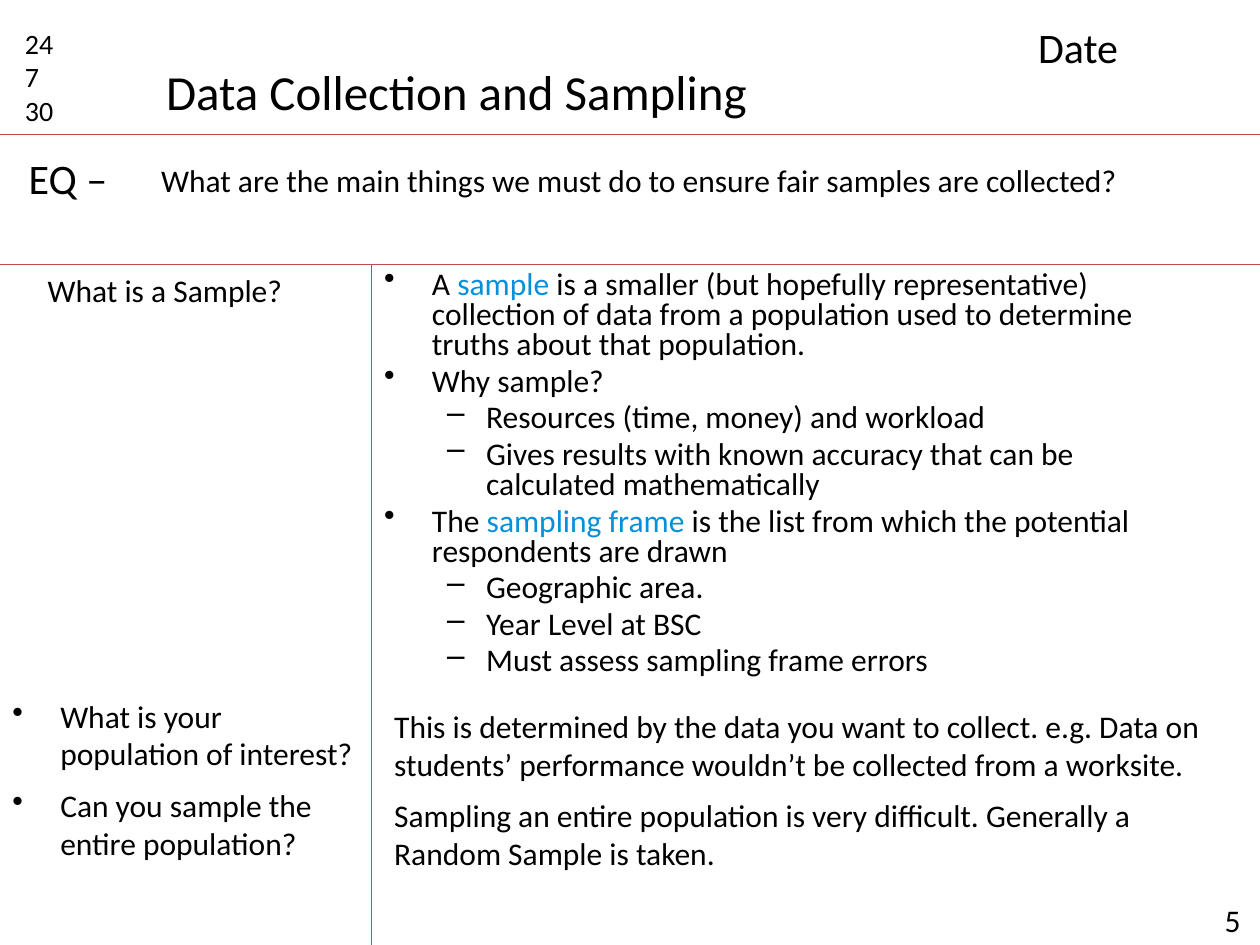
from dataclasses import dataclass

from lxml import etree
from pptx import Presentation
from pptx import util as u
from pptx.dml import color
from pptx.enum import shapes, text
from pptx.oxml import ns


@dataclass(frozen=True)
class Theme:
    """Holds the colours, font and type sizes."""
    face: str = "Calibri"
    ink: str = "000000"
    key: str = "0091DA"
    rule: str = "BF4C48"
    title: int = 28
    head: int = 24
    body: int = 18
    note: int = 16


class Page:
    """Draws styled elements on one slide."""

    marks = {0: ("•", 0.38, -0.38), 1: ("–", 0.81, -0.31)}

    def __init__(self, slide, theme):
        """Keeps the slide and its theme."""
        self.slide, self.theme = slide, theme

    def line(self, *ends):
        """Draws a thin rule between two points."""
        rule = self.slide.shapes.add_connector(
            shapes.MSO_CONNECTOR.STRAIGHT, *map(u.Inches, ends))
        rule.line.color.rgb = color.RGBColor.from_string(self.theme.rule)
        rule.line.width = u.Pt(0.75)
        etree.SubElement(rule._element.spPr, ns.qn("a:effectLst"))

    def frame(self, spot, wrap=True, grow=True):
        """Adds an empty text box and returns its frame."""
        frame = self.slide.shapes.add_textbox(*map(u.Inches, spot)).text_frame
        size = text.MSO_AUTO_SIZE
        form = {"word_wrap": wrap,
                "auto_size": size.SHAPE_TO_FIT_TEXT if grow else size.NONE}
        for name, value in form.items():
            setattr(frame, name, value)
        return frame

    def fill(self, para, parts, size):
        """Writes runs, with every second one in the key colour."""
        for i, part in enumerate(parts):
            run = para.add_run()
            run.text = part
            form = {"name": self.theme.face, "size": u.Pt(size)}
            for name, value in form.items():
                setattr(run.font, name, value)
            tint = self.theme.key if i % 2 else self.theme.ink
            run.font.color.rgb = color.RGBColor.from_string(tint)

    def paras(self, frame, count):
        """Returns the given number of paragraphs."""
        return [frame.paragraphs[0]] + [frame.add_paragraph() for _ in range(count - 1)]

    def label(self, spot, *rows, size=None, wrap=True):
        """Adds plain text, one paragraph a row."""
        frame = self.frame(spot, wrap)
        for para, row in zip(self.paras(frame, len(rows)), rows):
            self.fill(para, [row], size or self.theme.body)

    def points(self, spot, *items, lead=None, grow=True):
        """Adds a bulleted list of (level, parts) items."""
        frame = self.frame(spot, grow=grow)
        for i, (para, item) in enumerate(zip(self.paras(frame, len(items)), items)):
            level, *parts = item
            mark, left, hang = self.marks[level]
            props = para._p.get_or_add_pPr()
            props.set("marL", str(u.Inches(left)))
            props.set("indent", str(u.Inches(hang)))
            etree.SubElement(props, ns.qn("a:buChar"), char=mark)
            form = {"level": level, "line_spacing": lead,
                    "space_before": u.Pt(3.6 if i else 0)}
            for name, value in form.items():
                setattr(para, name, value)
            self.fill(para, parts, self.theme.body)


def main():
    """Builds the lesson notes slide."""
    deck = Presentation()
    deck.slide_width, deck.slide_height = u.Inches(10), u.Inches(7.5)
    theme = Theme()
    page = Page(deck.slides.add_slide(deck.slide_layouts[6]), theme)

    top, mid, split = 1.07, 2.1, 2.95
    for y in (top, mid):
        page.line(0, y, 10, y)
    page.line(split, mid, split, 7.5)

    page.label((0.1, 0.16, 0.63, 0.91), "24", "7", "30", size=theme.note)
    page.label((1.22, 0.44, 4.86, 0.57), "Data Collection and Sampling",
               size=theme.title, wrap=False)
    page.label((8.14, 0.12, 1.73, 0.5), "Date", size=theme.head)
    page.label((0.13, 1.16, 1, 0.5), "EQ –", size=theme.head)
    page.label((1.18, 1.23, 8.82, 0.4),
               "What are the main things we must do to ensure fair samples are collected?")
    page.label((0.28, mid, 2.64, 0.4), "What is a Sample?")
    page.points(
        (split, mid, 6.38, 4.28),
        (0, "A ", "sample", " is a smaller (but hopefully representative) collection of "
            "data from a population used to determine truths about that population."),
        (0, "Why sample?"),
        (1, "Resources (time, money) and workload"),
        (1, "Gives results with known accuracy that can be calculated mathematically"),
        (0, "The ", "sampling frame",
            " is the list from which the potential respondents are drawn"),
        (1, "Geographic area."),
        (1, "Year Level at BSC"),
        (1, "Must assess sampling frame errors"),
        lead=0.8, grow=False)

    pairs = [
        ("What is your population of interest?", 6.69,
         "This is determined by the data you want to collect. e.g. Data on students’ "
         "performance wouldn’t be collected from a worksite."),
        ("Can you sample the entire population?", 6.38,
         "Sampling an entire population is very difficult. Generally a Random Sample "
         "is taken."),
    ]
    high = 0.71
    for i, (ask, wide, reply) in enumerate(pairs):
        y = 5.48 + i * high
        page.points((0, y, split, high), (0, ask))
        page.label((3.03, y + 0.08, wide, high), reply)
    page.label((9.62, 7.1, 0.38, 0.4), "5")

    deck.save("out.pptx")


if __name__ == "__main__":
    main()
